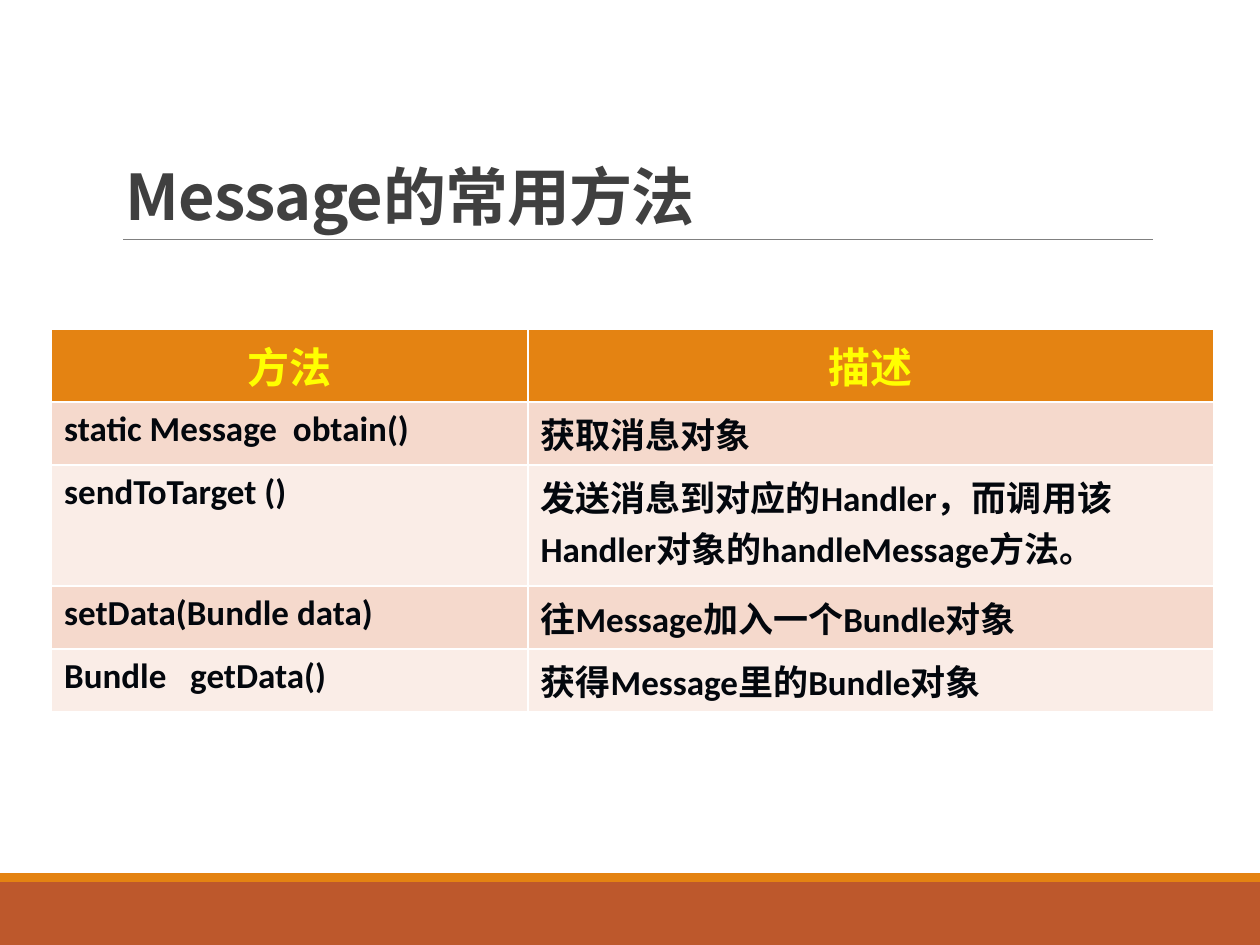
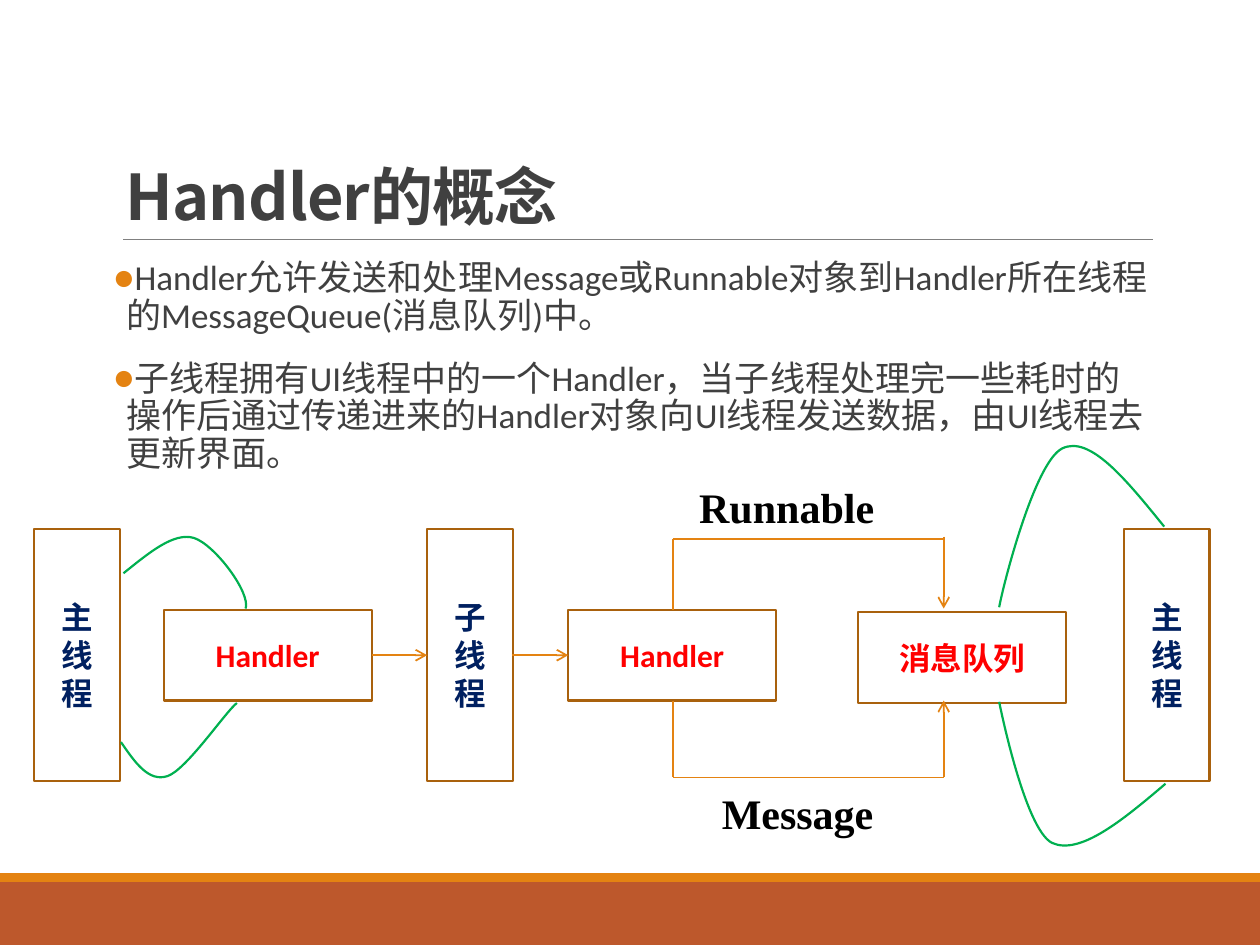
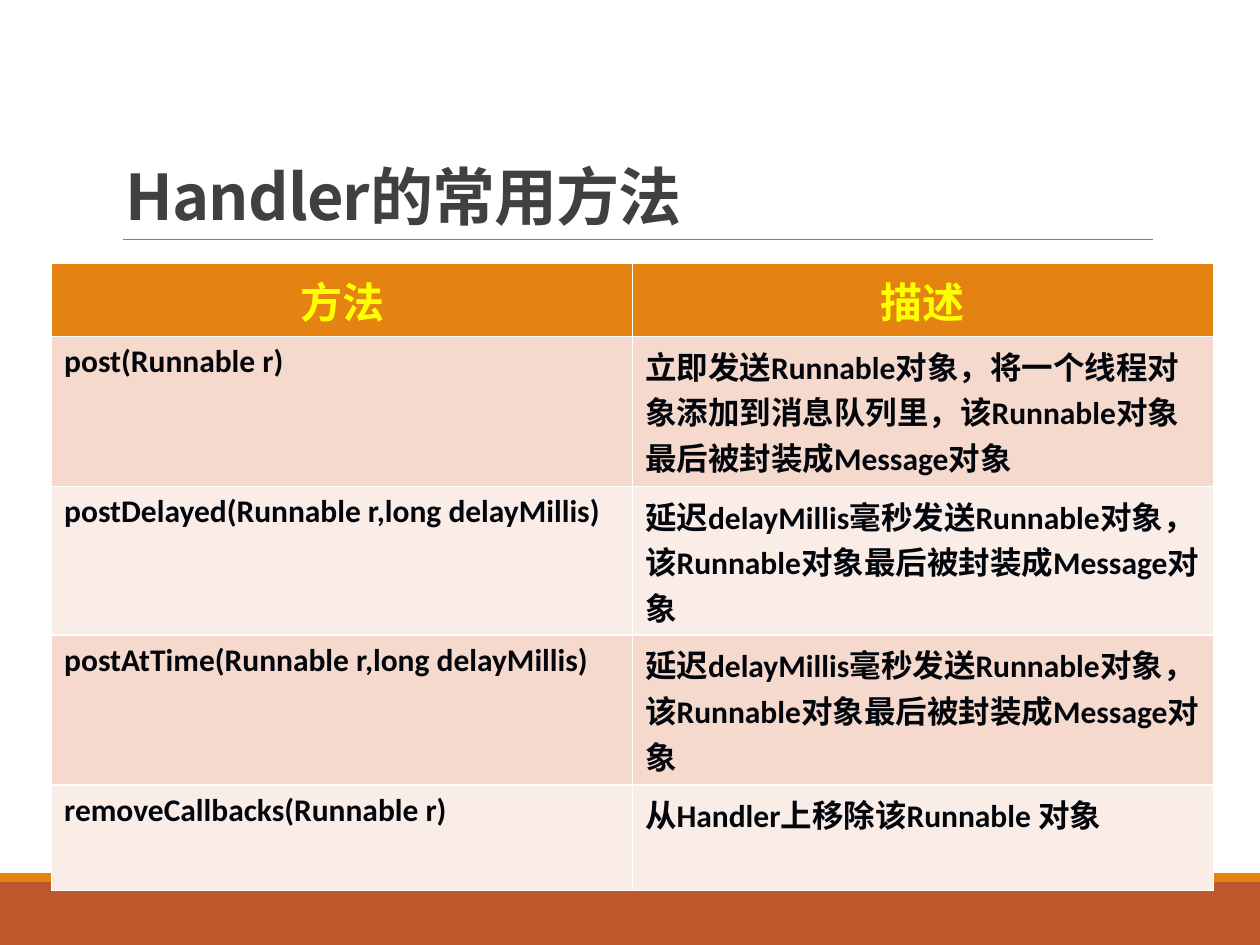
import pptx
import pptx.dml.color
import pptx.enum.shapes
import pptx.enum.text
import pptx.oxml
import pptx.oxml.ns
import pptx.util
from pptx.util import Inches

COLOURS = {
    "rust": "BD582C", "orange": "E48312", "brown": "A9610D", "green": "00B050",
    "rule": "808080", "text": "404040", "ink": "03070D", "black": "000000",
    "white": "FFFFFF", "yellow": "FFFF00", "red": "FF0000", "navy": "002060",
    "odd": "F5D9CC", "even": "FAEDE7",
}
LATIN = "Calibri"
CJK = "Noto Sans CJK SC"
SERIF = "Times New Roman"
HEADER = ("方法", "描述")
DELAYED = "延迟delayMillis毫秒发送Runnable对象，该Runnable对象最后被封装成Message对象"

MESSAGE_METHODS = [
    ("static Message  obtain()", "获取消息对象"),
    ("sendToTarget ()", "发送消息到对应的Handler，而调用该Handler对象的handleMessage方法。"),
    ("setData(Bundle data)", "往Message加入一个Bundle对象"),
    ("Bundle   getData()", "获得Message里的Bundle对象"),
]
HANDLER_METHODS = [
    ("post(Runnable r)", "立即发送Runnable对象，将一个线程对象添加到消息队列里，该Runnable对象最后被封装成Message对象"),
    ("postDelayed(Runnable r,long delayMillis)", DELAYED),
    ("postAtTime(Runnable r,long delayMillis)", DELAYED),
    ("removeCallbacks(Runnable r)", "从Handler上移除该Runnable 对象"),
]
CONCEPTS = [
    "Handler允许发送和处理Message或Runnable对象到Handler所在线程的MessageQueue(消息队列)中。",
    "子线程拥有UI线程中的一个Handler，当子线程处理完一些耗时的操作后通过传递进来的Handler对象向UI线程发送数据，由UI线程去更新界面。",
]
THREADS = [(0.27, "主线程"), (3.39, "子线程"), (8.92, "主线程")]
STAGES = [(1.3, 4.84, "Handler"), (4.51, 4.84, "Handler"), (6.81, 4.86, "消息队列")]
LABELS = [(5.45, 3.77, 1.71, "Runnable"), (5.63, 6.2, 1.52, "Message")]
ARROWS = [
    (2.95, 5.2, 3.39, 5.2), (4.06, 5.2, 4.51, 5.2),
    (7.49, 4.26, 7.49, 4.83), (7.49, 6.17, 7.49, 5.56),
]
LINKS = [
    (5.34, 4.28, 5.34, 4.84), (5.34, 5.56, 5.34, 6.17),
    (5.34, 4.28, 7.49, 4.28), (5.34, 6.17, 7.49, 6.17),
]
CURVES = [
    [(0.98, 4.55), (1.18, 4.39), (1.38, 4.22), (1.54, 4.27), (1.7, 4.32), (1.99, 4.7), (1.95, 4.83)],
    [(0.96, 5.89), (1.07, 6.05), (1.18, 6.21), (1.33, 6.16), (1.48, 6.11), (1.79, 5.65), (1.88, 5.58)],
    [(9.24, 4.18), (8.94, 3.81), (8.65, 3.45), (8.43, 3.56), (8.21, 3.67), (7.96, 4.65), (7.93, 4.82)],
    [(9.25, 6.22), (8.91, 6.51), (8.57, 6.79), (8.35, 6.69), (8.13, 6.58), (7.93, 5.57), (7.93, 5.57)],
]


def rgb(name):
    """Return the named colour."""
    return pptx.dml.color.RGBColor.from_string(COLOURS[name])


def add_element(parent, tag, **attributes):
    """Append a DrawingML element and return it."""
    child = pptx.oxml.parse_xml(f"<a:{tag} {pptx.oxml.ns.nsdecls('a')}/>")
    for name, value in attributes.items():
        child.set(name, value)
    parent.append(child)
    return child


def style(para, size, colour, face=LATIN, east=LATIN, bold=True):
    """Set the font of a whole paragraph."""
    font = para.font
    font.size = pptx.util.Pt(size)
    font.bold = bold
    font.color.rgb = rgb(colour)
    font.name = face
    add_element(para._p.pPr.find(pptx.oxml.ns.qn("a:defRPr")), "ea", typeface=east)


def add_text_box(page, left, top, width, height):
    """Add an empty wrapping text box and return its frame."""
    frame = page.shapes.add_textbox(*map(Inches, (left, top, width, height))).text_frame
    frame.word_wrap = True
    return frame


def add_rectangle(page, left, top, width, height, fill=None, outline=None):
    """Add a flat rectangle with a fill or an outline."""
    kind = pptx.enum.shapes.MSO_SHAPE.RECTANGLE
    box = page.shapes.add_shape(kind, *map(Inches, (left, top, width, height)))
    box.shadow.inherit = False
    if fill:
        box.fill.solid()
        box.fill.fore_color.rgb = rgb(fill)
    else:
        box.fill.background()
    if outline:
        box.line.color.rgb = rgb(outline)
        box.line.width = pptx.util.Pt(1.25)
    else:
        box.line.fill.background()
    return box


def add_node(page, left, top, width, height, text, colour, face=LATIN):
    """Add an outlined diagram box with centred text."""
    frame = add_rectangle(page, left, top, width, height, outline="brown").text_frame
    frame.word_wrap = True
    frame.vertical_anchor = pptx.enum.text.MSO_ANCHOR.MIDDLE
    para = frame.paragraphs[0]
    para.text = text
    para.alignment = pptx.enum.text.PP_ALIGN.CENTER
    style(para, 18, colour, face)


def add_line(page, ends, colour="orange", width=1, arrow=False):
    """Add a straight line, with an arrowhead at its end on request."""
    kind = pptx.enum.shapes.MSO_CONNECTOR.STRAIGHT
    line = page.shapes.add_connector(kind, *map(Inches, ends))
    line.line.color.rgb = rgb(colour)
    line.line.width = pptx.util.Pt(width)
    if arrow:
        add_element(line.line._get_or_add_ln(), "tailEnd", type="arrow")
    add_element(line._element.spPr, "effectLst")


def add_curve(page, points):
    """Add an open green curve from a start point and Bezier triples."""
    start, *rest = [(Inches(x), Inches(y)) for x, y in points]
    builder = page.shapes.build_freeform(*start)
    builder.add_line_segments(rest, close=False)
    curve = builder.convert_to_shape()
    curve.shadow.inherit = False
    curve.fill.background()
    curve.line.color.rgb = rgb("green")
    curve.line.width = pptx.util.Pt(1.25)
    outline = next(curve._element.iter(pptx.oxml.ns.qn("a:path")))
    segments = outline.findall(pptx.oxml.ns.qn("a:lnTo"))
    for first in range(0, len(segments), 3):
        bezier = add_element(outline, "cubicBezTo")
        for segment in segments[first:first + 3]:
            bezier.append(segment[0])
            outline.remove(segment)


def add_bullets(page, texts):
    """Add the bulleted body text."""
    frame = add_text_box(page, 0.9, 2.02, 8.25, 4.4)
    frame.margin_left = frame.margin_right = 0
    for index, text in enumerate(texts):
        para = frame.add_paragraph() if index else frame.paragraphs[0]
        para.text = text
        para.line_spacing = 0.9
        para.space_before = pptx.util.Pt(12 if index else 0)
        para.space_after = pptx.util.Pt(2)
        properties = para._p.get_or_add_pPr()
        properties.set("marL", str(Inches(0.1)))
        properties.set("indent", str(-Inches(0.1)))
        add_element(add_element(properties, "buClr"), "srgbClr", val=COLOURS["orange"])
        add_element(properties, "buFont", typeface=LATIN)
        add_element(properties, "buChar", char="●")
        style(para, 20, "text", bold=False)


def fill_cell(cell, text, fill, size, colour):
    """Write one table cell with its fill and white borders."""
    properties = cell._tc.get_or_add_tcPr()
    for side in ("lnL", "lnR", "lnT", "lnB"):
        border = add_element(properties, side, w=str(pptx.util.Pt(1)))
        add_element(add_element(border, "solidFill"), "srgbClr", val=COLOURS["white"])
    cell.fill.solid()
    cell.fill.fore_color.rgb = rgb(fill)
    para = cell.text_frame.paragraphs[0]
    para.text = text
    style(para, size, colour, east=CJK)
    return para


def add_method_table(page, top, widths, heights, methods, size):
    """Add a table of methods and their descriptions."""
    area = (0.41, top, sum(widths), sum(heights))
    table = page.shapes.add_table(len(heights), len(widths), *map(Inches, area)).table
    for column, width in zip(table.columns, widths):
        column.width = Inches(width)
    for row, height in zip(table.rows, heights):
        row.height = Inches(height)
    for column, text in enumerate(HEADER):
        para = fill_cell(table.cell(0, column), text, "orange", 24, "yellow")
        para.alignment = pptx.enum.text.PP_ALIGN.CENTER
    for row, method in enumerate(methods, 1):
        for column, text in enumerate(method):
            fill_cell(table.cell(row, column), text, "odd" if row % 2 else "even", size, "ink")


def add_page(deck, title):
    """Add a page with the shared bands, rule and title."""
    page = deck.slides.add_slide(deck.slide_layouts[6])
    add_rectangle(page, 0, 7, 10, 0.5, fill="rust")
    add_rectangle(page, 0, 6.93, 10, 0.07, fill="orange")
    add_line(page, (0.98, 1.9, 9.15, 1.9), "rule", 0.5)
    frame = add_text_box(page, 0.9, 0.31, 8.25, 1.59)
    frame.vertical_anchor = pptx.enum.text.MSO_ANCHOR.BOTTOM
    para = frame.paragraphs[0]
    para.text = title
    para.line_spacing = 0.85
    style(para, 36, "text", CJK, CJK)
    para._p.pPr.find(pptx.oxml.ns.qn("a:defRPr")).set("spc", "-50")
    return page


def add_handler_diagram(page):
    """Draw the flow from the main thread through handlers to the queue."""
    for left, text in THREADS:
        add_node(page, left, 4.2, 0.68, 2, text, "navy", CJK)
    for left, top, text in STAGES:
        add_node(page, left, top, 1.65, 0.72, text, "red")
    for left, top, width, text in LABELS:
        para = add_text_box(page, left, top, width, 0.51).paragraphs[0]
        para.text = text
        style(para, 24, "black", SERIF, SERIF)
    for ends in LINKS:
        add_line(page, ends)
    for ends in ARROWS:
        add_line(page, ends, arrow=True)
    for points in CURVES:
        add_curve(page, points)


def main():
    """Build and save the deck."""
    deck = pptx.Presentation()
    deck.slide_width, deck.slide_height = Inches(10), Inches(7.5)
    page = add_page(deck, "Message的常用方法")
    add_method_table(page, 2.61, (3.78, 5.44), (0.58, 0.5, 0.96, 0.5, 0.5), MESSAGE_METHODS, 20)
    page = add_page(deck, "Handler的概念")
    add_bullets(page, CONCEPTS)
    add_handler_diagram(page)
    page = add_page(deck, "Handler的常用方法")
    add_method_table(page, 2.09, (4.61, 4.61), (0.58, 1.19, 1.18, 1.19, 0.84), HANDLER_METHODS, 18)
    deck.save("out.pptx")


if __name__ == "__main__":
    main()
